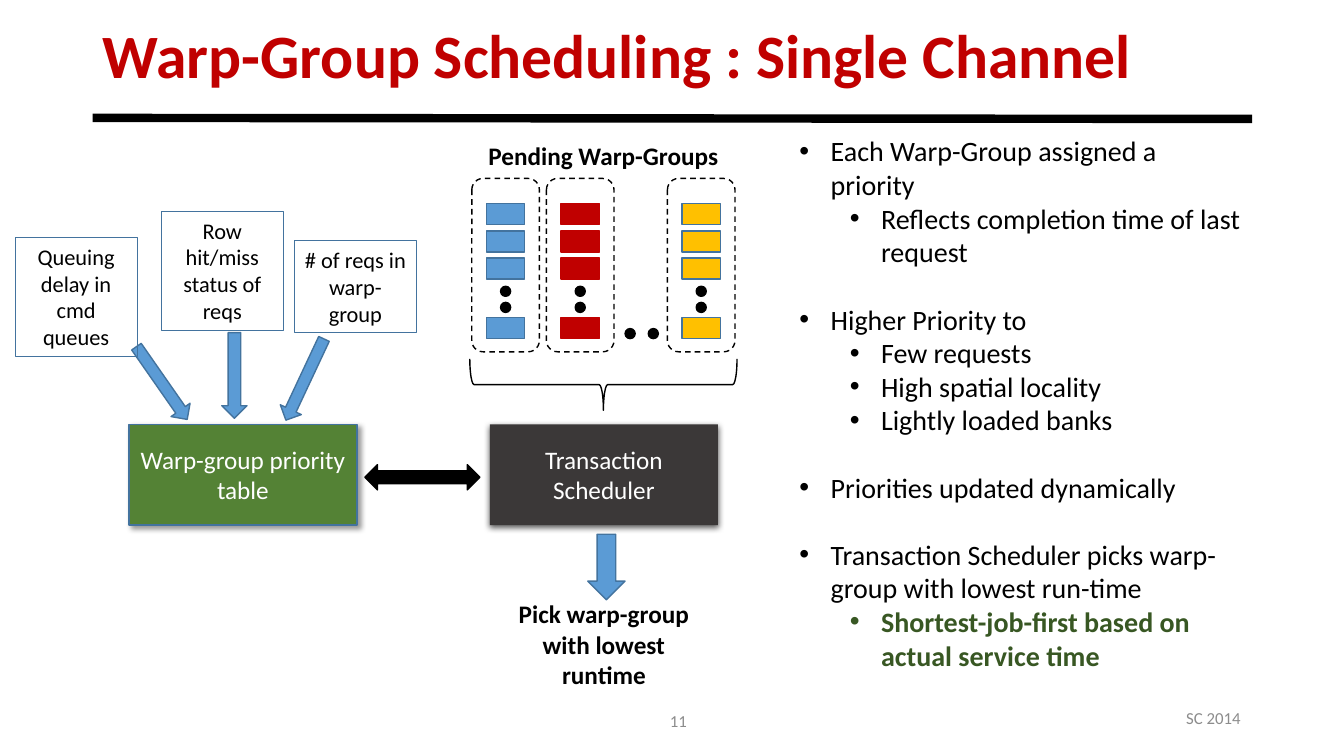
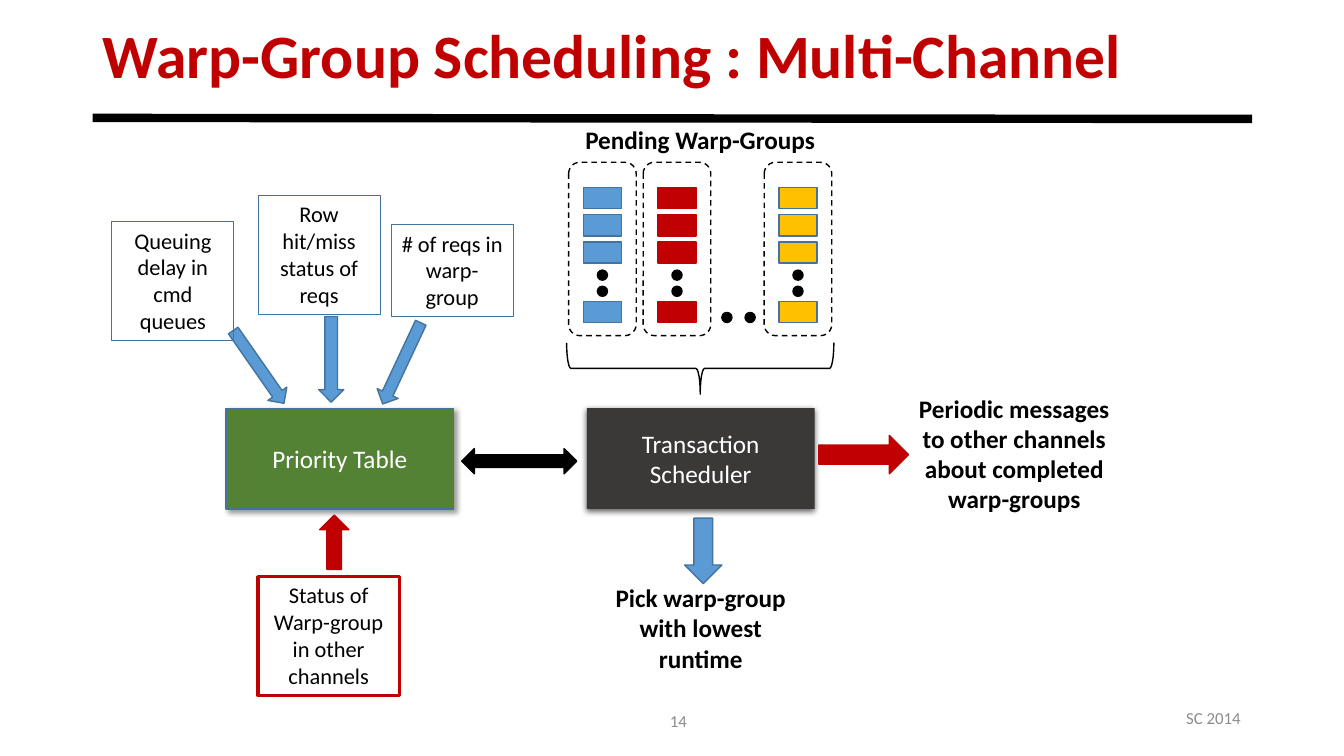
"""Build two slides on warp-group scheduling: single channel and multi-channel."""
import dataclasses

import lxml.etree
import pptx
import pptx.dml.color
import pptx.enum.dml
import pptx.enum.shapes
import pptx.enum.text
import pptx.oxml.ns
import pptx.util

SHAPE = pptx.enum.shapes.MSO_SHAPE
ALIGN = pptx.enum.text.PP_ALIGN
ANCHOR = pptx.enum.text.MSO_ANCHOR
Inches = pptx.util.Inches
Pt = pptx.util.Pt
qn = pptx.oxml.ns.qn


@dataclasses.dataclass(frozen=True)
class Theme:
    font: str = "Calibri"
    title: int = 44
    body: int = 20
    label: int = 18
    note: int = 16
    footer: int = 12
    red: str = "C00000"
    black: str = "000000"
    white: str = "FFFFFF"
    grey: str = "8C8C8C"
    charcoal: str = "3B3838"
    green: str = "548235"
    dark_green: str = "385723"
    blue: str = "5B9BD5"
    edge: str = "43739E"
    gold: str = "FFC000"


THEME = Theme()
WIDTH, HEIGHT = 13.33, 7.5
MARGIN, CONTENT_WIDTH = 0.92, 11.5

SLIDES = [
    {"title": "Warp-Group Scheduling : Single Channel", "number": "11",
     "table": "Warp-group priority table", "shift": (0, 0)},
    {"title": "Warp-Group Scheduling : Multi-Channel", "number": "14",
     "table": "Priority Table", "shift": (0.96, -0.16)},
]
EVENT = "SC 2014"

BULLETS = [
    [("Each Warp-Group assigned a priority", 0),
     ("Reflects completion time of last request", 1)],
    [("Higher Priority to", 0), ("Few requests", 1),
     ("High spatial locality", 1), ("Lightly loaded banks", 1)],
    [("Priorities updated dynamically", 0)],
    [("Transaction Scheduler picks warp-group with lowest run-time", 0),
     ("Shortest-job-first based on actual service time", 1)],
]
KEY_POINT = BULLETS[-1][-1][0]

WARP_GROUPS = [(4.68, THEME.blue, THEME.edge), (5.42, THEME.red, THEME.red),
               (6.62, THEME.gold, THEME.edge)]
REQUEST_ROWS = [2.02, 2.29, 2.56, 3.15]
PENDING_DOT_ROWS = [2.84, 3.0]
GROUP_DOT_COLUMNS = [6.2, 6.43]
FRAME_WIDTH, REQUEST_WIDTH, DOT = 0.67, 0.38, 0.1

FACTORS = [("# of reqs in warp-group", (2.92, 2.39, 1.21, 0.91)),
           ("Row hit/miss status of reqs", (1.6, 2.1, 1.21, 1.18)),
           ("Queuing delay in cmd queues", (0.15, 2.36, 1.21, 1.18))]
FACTOR_ARROWS = [((1.49, 3.36, 0.23, 0.88), 325.1),
                 ((2.91, 3.32, 0.23, 0.89), 25.1),
                 ((2.2, 3.3, 0.25, 0.85), 0)]


def rgb(color):
    """Turn a hex string into a colour."""
    return pptx.dml.color.RGBColor.from_string(color)


def write(shape, text, size=THEME.label, color=THEME.black, bold=False,
          align=ALIGN.CENTER, anchor=ANCHOR.TOP, level=None, before=0, spacing=None):
    """Append one formatted paragraph to a shape, bulleted when a level is given."""
    frame = shape.text_frame
    frame.word_wrap = True
    frame.vertical_anchor = anchor
    paragraph = frame.paragraphs[0]
    if paragraph.runs:
        paragraph = frame.add_paragraph()
    paragraph.alignment = align
    if before:
        paragraph.space_before = Pt(before)
    if spacing:
        paragraph.line_spacing = spacing
    if level is not None:
        paragraph.level = level
        properties = paragraph._p.get_or_add_pPr()
        properties.set("marL", str(Inches(0.31 + 0.5 * level)))
        properties.set("indent", str(Inches(-0.31)))
        lxml.etree.SubElement(properties, qn("a:buFont"), typeface="Arial")
        lxml.etree.SubElement(properties, qn("a:buChar"), char="•")
    run = paragraph.add_run()
    run.text = text
    run.font.name = THEME.font
    run.font.size = Pt(size)
    run.font.bold = bold
    run.font.color.rgb = rgb(color)


def cast_shadow(shape, opacity, blur, distance, angle):
    """Give a shape a soft black outer shadow."""
    effects = shape._element.spPr.find(qn("a:effectLst"))
    shadow = lxml.etree.SubElement(
        effects, qn("a:outerShdw"), blurRad=str(Pt(blur)), dist=str(Pt(distance)),
        dir=str(angle * 60000), algn="ctr", rotWithShape="0")
    tone = lxml.etree.SubElement(shadow, qn("a:srgbClr"), val=THEME.black)
    lxml.etree.SubElement(tone, qn("a:alpha"), val=str(opacity * 1000))


class Canvas:
    """Draw on a slide with every position moved by one shift."""

    def __init__(self, slide, shift=(0, 0)):
        self.shapes = slide.shapes
        self.shift = shift

    def place(self, box):
        """Return a box in slide units."""
        left, top, width, height = box
        return [Inches(v) for v in (left + self.shift[0], top + self.shift[1], width, height)]

    def draw(self, kind, box, fill=None, line=None, weight=1, dash=False, turn=0):
        """Add a preset shape."""
        shape = self.shapes.add_shape(kind, *self.place(box))
        shape.shadow.inherit = False
        shape.rotation = turn
        if fill:
            shape.fill.solid()
            shape.fill.fore_color.rgb = rgb(fill)
        else:
            shape.fill.background()
        if line:
            shape.line.color.rgb = rgb(line)
            shape.line.width = Pt(weight)
        else:
            shape.line.fill.background()
        if dash:
            shape.line.dash_style = pptx.enum.dml.MSO_LINE.DASH
        return shape

    def dot(self, left, top):
        """Add one ellipsis dot."""
        self.draw(SHAPE.OVAL, (left, top, DOT, DOT), THEME.black, THEME.black)

    def label(self, text, box, **style):
        """Add a text box."""
        write(self.shapes.add_textbox(*self.place(box)), text, **style)


def add_base(deck, content):
    """Add a slide with its title, rule and footer."""
    slide = deck.slides.add_slide(deck.slide_layouts[5])
    canvas = Canvas(slide)
    title = slide.shapes.title
    title.left, title.top, title.width, title.height = canvas.place(
        (MARGIN, 0.17, CONTENT_WIDTH, 0.83))
    write(title, content["title"], size=THEME.title, color=THEME.red, bold=True,
          align=ALIGN.LEFT, anchor=ANCHOR.MIDDLE, spacing=0.9)
    rule = slide.shapes.add_connector(
        pptx.enum.shapes.MSO_CONNECTOR.STRAIGHT, Inches(MARGIN), Inches(1.17),
        Inches(MARGIN + CONTENT_WIDTH), Inches(1.18))
    rule.line.color.rgb = rgb(THEME.black)
    rule.line.width = Pt(6)
    lxml.etree.SubElement(rule._element.spPr, qn("a:effectLst"))
    footer = {"size": THEME.footer, "color": THEME.grey, "anchor": ANCHOR.MIDDLE}
    canvas.label(EVENT, (11.65, 6.92, 0.77, 0.4), **footer)
    canvas.label(content["number"], (6.43, 6.95, 0.48, 0.4), align=ALIGN.RIGHT, **footer)
    return slide


def add_pending_groups(canvas):
    """Draw the columns of pending requests."""
    for left, fill, edge in WARP_GROUPS:
        center = left + FRAME_WIDTH / 2
        for top in REQUEST_ROWS:
            canvas.draw(SHAPE.RECTANGLE, (center - REQUEST_WIDTH / 2, top, REQUEST_WIDTH, 0.21),
                        fill, edge)
        for top in PENDING_DOT_ROWS:
            canvas.dot(center - DOT / 2, top)
        canvas.draw(SHAPE.ROUNDED_RECTANGLE, (left, 1.77, FRAME_WIDTH, 1.72),
                    line=THEME.black, dash=True)
    for left in GROUP_DOT_COLUMNS:
        canvas.dot(left, 3.26)
    canvas.label("Pending Warp-Groups", (4.68, 1.34, 2.61, 0.4), bold=True)
    canvas.draw(SHAPE.LEFT_BRACE, (5.73, 2.49, 0.51, 2.65), line=THEME.black, turn=270)


def add_scheduler(canvas, table_name):
    """Draw the priority table, the scheduler and what feeds them."""
    table = canvas.draw(SHAPE.RECTANGLE, (1.28, 4.21, 2.26, 1), THEME.green, THEME.edge)
    cast_shadow(table, 40, 4, 3, 45)
    scheduler = canvas.draw(SHAPE.RECTANGLE, (4.86, 4.21, 2.26, 1), THEME.charcoal)
    cast_shadow(scheduler, 63, 4.5, 1.5, 90)
    for unit, name in ((table, table_name), (scheduler, "Transaction Scheduler")):
        write(unit, name, color=THEME.white, anchor=ANCHOR.MIDDLE)
    for box, turn in FACTOR_ARROWS + [((5.83, 5.3, 0.37, 0.65), 0)]:
        canvas.draw(SHAPE.DOWN_ARROW, box, THEME.blue, THEME.edge, turn=turn)
    for text, box in FACTORS:
        factor = canvas.draw(SHAPE.RECTANGLE, box, line=THEME.edge, weight=0.75)
        write(factor, text, size=THEME.note)
    canvas.draw(SHAPE.LEFT_RIGHT_ARROW, (3.62, 4.61, 1.14, 0.25), THEME.black, THEME.black)
    canvas.label("Pick warp-group with lowest runtime", (4.86, 5.89, 2.26, 1.01), bold=True)


def add_bullets(slide):
    """Write the explanation beside the single-channel diagram."""
    explanation = slide.shapes.add_textbox(*Canvas(slide).place((7.83, 1.28, 4.61, 5.6)))
    for index, topic in enumerate(BULLETS):
        for row, (text, level) in enumerate(topic):
            key = text == KEY_POINT
            write(explanation, text, size=THEME.body, bold=key, align=ALIGN.LEFT, level=level,
                  color=THEME.dark_green if key else THEME.black,
                  before=24 if index and not row else 0)


def add_channel_messages(slide):
    """Draw the exchange with the other channels."""
    canvas = Canvas(slide)
    canvas.draw(SHAPE.UP_ARROW, (3.17, 5.11, 0.29, 0.54), THEME.red, THEME.red)
    status = canvas.draw(SHAPE.RECTANGLE, (2.56, 5.72, 1.4, 1.18), line=THEME.red, weight=2.25)
    write(status, "Status of Warp-group in other channels", size=THEME.note)
    canvas.draw(SHAPE.RIGHT_ARROW, (8.12, 4.32, 0.89, 0.38), THEME.red, THEME.red)
    canvas.label("Periodic messages to other channels about completed warp-groups",
                 (8.93, 3.85, 2.26, 1.31), bold=True)


def main():
    """Assemble and save the deck."""
    deck = pptx.Presentation()
    deck.slide_width, deck.slide_height = Inches(WIDTH), Inches(HEIGHT)
    for content, add_details in zip(SLIDES, (add_bullets, add_channel_messages)):
        slide = add_base(deck, content)
        diagram = Canvas(slide, content["shift"])
        add_pending_groups(diagram)
        add_scheduler(diagram, content["table"])
        add_details(slide)
    deck.save("out.pptx")


if __name__ == "__main__":
    main()
